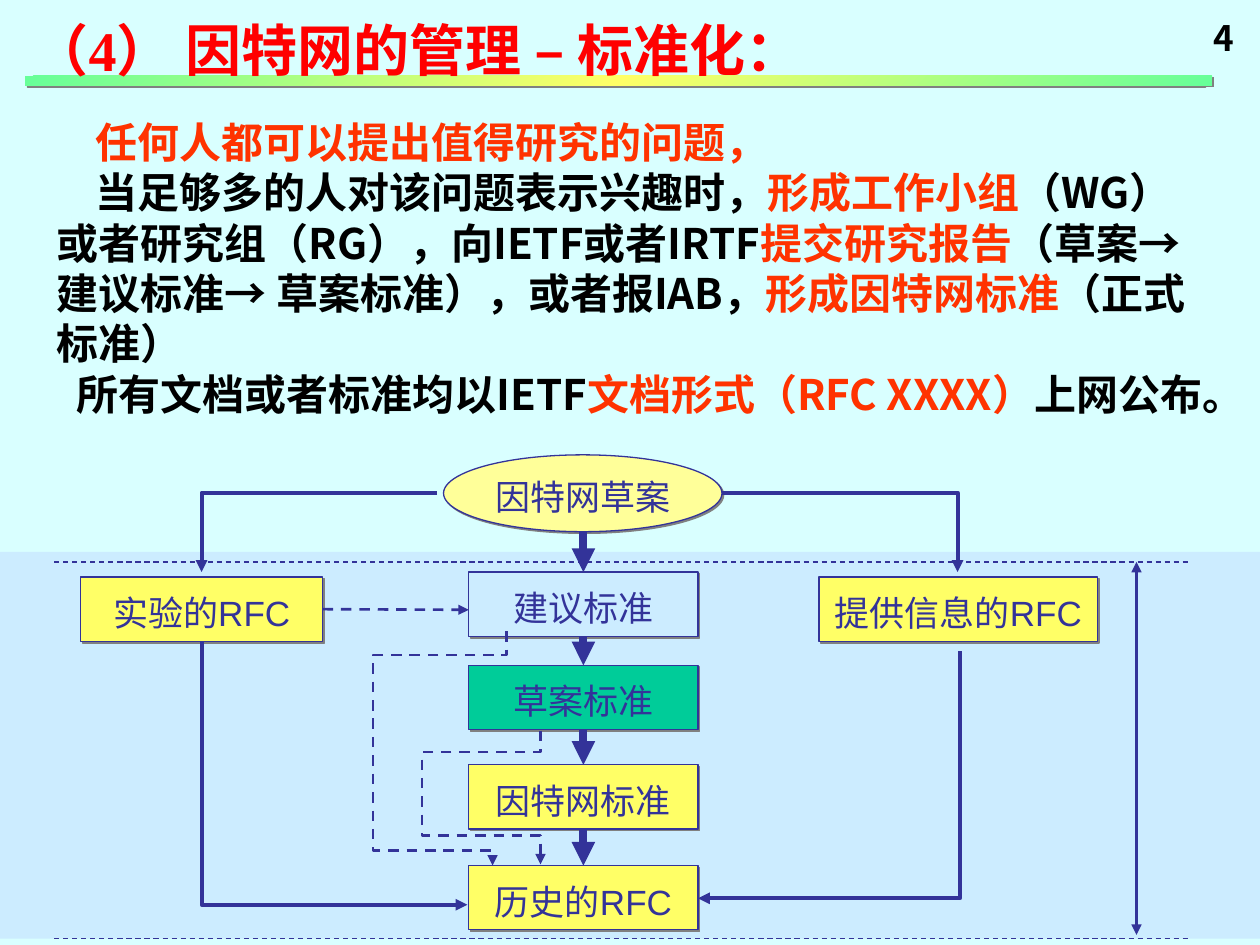
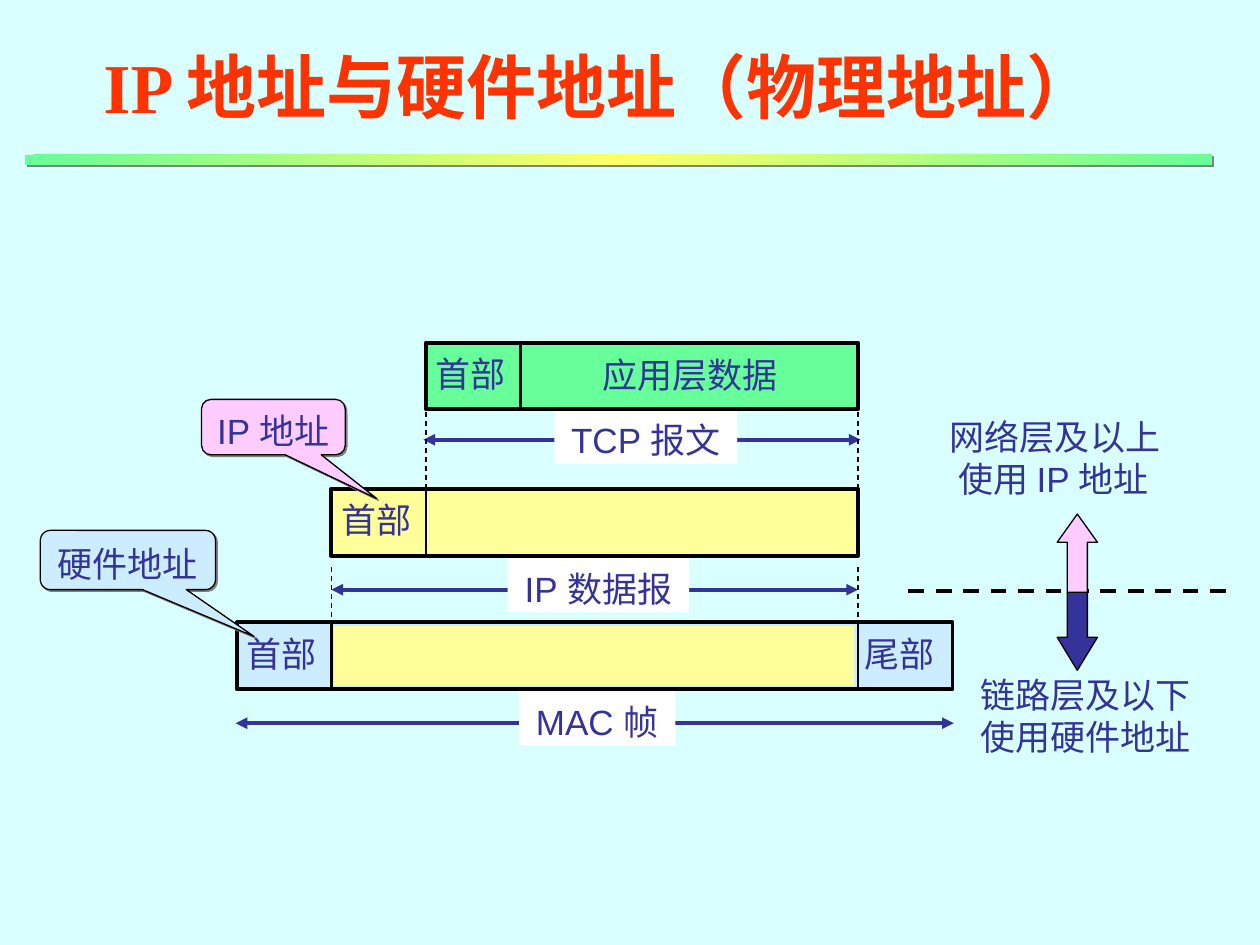
from copy import deepcopy

from lxml import etree
from pptx import Presentation
from pptx.dml.color import RGBColor
from pptx.enum.dml import MSO_LINE
from pptx.enum.shapes import MSO_CONNECTOR, MSO_SHAPE
from pptx.enum.text import MSO_ANCHOR, PP_ALIGN
from pptx.oxml.ns import qn
from pptx.util import Cm, Pt

RECT = MSO_SHAPE.RECTANGLE
OVAL = MSO_SHAPE.OVAL
CALLOUT = MSO_SHAPE.ROUNDED_RECTANGULAR_CALLOUT
UP, DOWN = MSO_SHAPE.UP_ARROW, MSO_SHAPE.DOWN_ARROW
STRAIGHT = MSO_CONNECTOR.STRAIGHT
DASH = MSO_LINE.DASH
LEFT, CENTER = PP_ALIGN.LEFT, PP_ALIGN.CENTER
TOP, MIDDLE = MSO_ANCHOR.TOP, MSO_ANCHOR.MIDDLE
SIDE_TOP, SIDE_BOTTOM, SIDE_RIGHT = 0, 2, 3

SANS, SERIF, CJK = "Arial", "Times New Roman", "Noto Sans CJK SC"
PAPER, WHITE, BLACK, GRAY = "D9FFFF", "FFFFFF", "000000", "808080"
NAVY, RED, ORANGE = "333399", "FF0000", "FF3300"
SKY, TEAL, MINT, PINK = "CCECFF", "00CC99", "66FF99", "FFCCFF"
YELLOW, CREAM = "FFFF66", "FFFF99"


def inch(value):
    return Cm(value * 2.54)


def rgb(value):
    return RGBColor.from_string(value)


class Deck:
    def __init__(self):
        self.prs = Presentation()
        self.prs.slide_width, self.prs.slide_height = inch(10), inch(7.5)
        self.slide = None

    def new_slide(self, rule_top):
        self.slide = self.prs.slides.add_slide(self.prs.slide_layouts[6])
        fill = self.slide.background.fill
        fill.solid()
        fill.fore_color.rgb = rgb(PAPER)
        rule = self.shape(RECT, (0.2, rule_top, 9.42, 0.08), MINT, shadow=True)
        rule.fill.gradient()
        rule.fill.gradient_angle = 315
        stops = rule._element.spPr.find(qn("a:gradFill")).find(qn("a:gsLst"))
        stops.insert(1, deepcopy(stops[0]))
        for stop, color, position in zip(rule.fill.gradient_stops,
                                         (MINT, YELLOW, MINT), (0, 0.5, 1)):
            stop.color.rgb = rgb(color)
            stop.position = position

    def style_run(self, run, size, color, font, bold):
        run.font.size, run.font.bold = Pt(size), bold
        run.font.color.rgb = rgb(color)
        run.font.name = font
        etree.SubElement(run._r.get_or_add_rPr(), qn("a:ea")).set("typeface", CJK)

    def frame(self, frame, size, align, anchor, wrap):
        drop = size / 720
        frame.word_wrap = wrap
        frame.vertical_anchor = anchor
        frame.margin_left = inch(0.1)
        frame.margin_right = inch(0) if align == LEFT else inch(0.1)
        frame.margin_top = inch(0.05 + drop)
        frame.margin_bottom = inch(max(0, 0.05 - drop))
        for paragraph in frame.paragraphs:
            paragraph.alignment = align
            paragraph.line_spacing = Pt(size * 1.2)

    def fill_text(self, frame, text, size=20, color=NAVY, font=SANS, bold=False,
                  align=LEFT, anchor=TOP, wrap=True):
        frame.text = text
        self.frame(frame, size, align, anchor, wrap)
        for paragraph in frame.paragraphs:
            for run in paragraph.runs:
                self.style_run(run, size, color, font, bold)

    def indent(self, paragraph, width):
        paragraph._p.get_or_add_pPr().set("indent", str(inch(width)))

    def text(self, box, text, **style):
        area = self.slide.shapes.add_textbox(*map(inch, box))
        self.fill_text(area.text_frame, text, **style)
        return area.text_frame

    def rich_text(self, box, paragraphs, size):
        frame = self.slide.shapes.add_textbox(*map(inch, box)).text_frame
        for number, (first_indent, pieces) in enumerate(paragraphs):
            paragraph = frame.add_paragraph() if number else frame.paragraphs[0]
            self.indent(paragraph, first_indent)
            for words, color in pieces:
                run = paragraph.add_run()
                run.text = words
                self.style_run(run, size, color, CJK, True)
        self.frame(frame, size, LEFT, TOP, True)
        frame.margin_right = inch(0.1)

    def shape(self, kind, box, fill, line=None, width=0.75, shadow=False,
              text=None, adjust=()):
        shape = self.slide.shapes.add_shape(kind, *map(inch, box))
        for index, value in enumerate(adjust):
            shape.adjustments[index] = value
        shape.fill.solid()
        shape.fill.fore_color.rgb = rgb(fill)
        if line:
            self.stroke(shape, line, width)
        else:
            shape.line.fill.background()
        shape.shadow.inherit = False
        if shadow:
            effects = shape._element.spPr.find(qn("a:effectLst"))
            outer = etree.SubElement(effects, qn("a:outerShdw"),
                                     dist=str(Pt(1.4)), dir="2700000")
            etree.SubElement(outer, qn("a:srgbClr"), val=GRAY)
        if text:
            self.fill_text(shape.text_frame, text, align=CENTER, anchor=MIDDLE, wrap=False)
        return shape

    def stroke(self, shape, color, width, dash=False, heads=()):
        shape.line.color.rgb = rgb(color)
        shape.line.width = Pt(width)
        if dash:
            shape.line.dash_style = DASH
        for end in heads:
            etree.SubElement(shape.line._get_or_add_ln(), qn("a:" + end), type="triangle")

    def line(self, start, finish, color=NAVY, width=0.75, dash=False, heads=()):
        line = self.slide.shapes.add_connector(STRAIGHT, *map(inch, start + finish))
        self.stroke(line, color, width, dash, heads)
        etree.SubElement(line._element.spPr, qn("a:effectLst"))
        return line

    def route(self, points, width=2.25, dash=False):
        corners = [(inch(x), inch(y)) for x, y in points]
        builder = self.slide.shapes.build_freeform(*corners[0], scale=1.0)
        builder.add_line_segments(corners[1:], close=False)
        route = builder.convert_to_shape()
        route.fill.background()
        self.stroke(route, NAVY, width, dash, ARROW)
        route.shadow.inherit = False


ARROW = ("tailEnd",)
BOTH = ("headEnd", "tailEnd")


def standardization(deck):
    deck.new_slide(0.6)
    deck.text((0.16, 0.03, 7, 0.64), "（4） 因特网的管理 – 标准化：",
              size=32, color=RED, font=SERIF, bold=True)
    deck.text((9.53, 0.05, 0.36, 0.44), "4", color=BLACK, font=CJK, bold=True)
    deck.rich_text((0.35, 0.84, 9.31, 2.9), [
        (0.31, [("任何人都可以提出值得研究的问题，", ORANGE)]),
        (0.31, [("当足够多的人对该问题表示兴趣时，", BLACK),
                ("形成工作小组", ORANGE),
                ("（WG）或者研究组（RG），向IETF或者IRTF", BLACK),
                ("提交研究报告", ORANGE),
                ("（草案→建议标准→ 草案标准），或者报IAB，", BLACK),
                ("形成因特网标准", ORANGE),
                ("（正式标准）", BLACK)]),
        (0.16, [("所有文档或者标准均以IETF", BLACK),
                ("文档形式（RFC XXXX）", ORANGE),
                ("上网公布。", BLACK)]),
    ], size=24)

    deck.shape(RECT, (0, 4.38, 10, 3.07), SKY)
    stages = [deck.shape(RECT, (3.72, top, 1.82, 0.51), fill, NAVY, shadow=True, text=name)
              for top, fill, name in ((4.54, SKY, "建议标准"), (5.28, TEAL, "草案标准"),
                                      (6.07, YELLOW, "因特网标准"),
                                      (6.87, YELLOW, "历史的RFC"))]
    deck.shape(RECT, (6.5, 4.58, 2.21, 0.51), YELLOW, NAVY, shadow=True, text="提供信息的RFC")
    experimental = deck.shape(RECT, (0.64, 4.58, 1.92, 0.51), YELLOW, NAVY,
                              shadow=True, text="实验的RFC")
    deck.shape(OVAL, (3.52, 3.61, 2.21, 0.61), CREAM, NAVY, shadow=True, text="因特网草案")

    adoption = deck.line((4.63, 4.22), (4.63, 4.54), width=4.5, heads=ARROW)
    adoption.end_connect(stages[0], SIDE_TOP)
    for earlier, later in zip(stages, stages[1:]):
        step = deck.line((4.63, 5), (4.63, 5.3), width=4.5, heads=ARROW)
        step.begin_connect(earlier, SIDE_BOTTOM)
        step.end_connect(later, SIDE_TOP)

    deck.route([(5.73, 3.91), (7.6, 3.91), (7.6, 4.54)])
    deck.route([(3.47, 3.91), (1.6, 3.91), (1.6, 4.54)])
    deck.route([(1.6, 5.09), (1.6, 7.18), (3.71, 7.18)])
    deck.route([(7.62, 5.17), (7.62, 7.13), (5.54, 7.13)])
    upgrade = deck.line((2.56, 4.84), (3.72, 4.84), width=1.5, dash=True, heads=ARROW)
    upgrade.begin_connect(experimental, SIDE_RIGHT)
    deck.route([(4.02, 5.01), (4.02, 5.2), (2.96, 5.2), (2.96, 6.75),
                (3.91, 6.75), (3.91, 6.87)], 1.5, True)
    deck.route([(4.29, 5.8), (4.29, 5.97), (3.35, 5.97), (3.35, 6.63),
                (4.29, 6.63), (4.29, 6.86)], 1.5, True)
    for y in (4.46, 7.45):
        deck.line((0.43, y), (9.44, y), dash=True)
    deck.line((9.02, 4.46), (9.02, 7.42), width=1.5, heads=BOTH)


def addresses(deck):
    deck.new_slide(1.23)
    deck.text((0.51, 0, 8.5, 1.25), "IP 地址与硬件地址（物理地址）", size=40,
              color=ORANGE, font=SERIF, bold=True, align=CENTER, anchor=MIDDLE)

    spans = ((3.36, 6.83, 3.49, (4.4, 3.24, 1.45, 0.44), "TCP 报文"),
             (2.63, 6.81, 4.68, (4.03, 4.42, 1.44, 0.44), "IP 数据报"),
             (1.87, 7.57, 5.74, (4.12, 5.48, 1.24, 0.44), "MAC 帧"))
    for left, right, y, label_box, name in spans:
        deck.line((left, y), (right, y), width=2.25, heads=BOTH)
        deck.shape(RECT, label_box, WHITE, text=name)

    for x, top, bottom in ((2.63, 4.5, 4.94), (6.81, 4.5, 4.94),
                           (3.38, 3.27, 3.88), (6.81, 3.27, 3.88)):
        deck.line((x, top), (x, bottom), BLACK, dash=True)
    deck.line((7.21, 4.69), (9.73, 4.69), BLACK, 2.25, dash=True)

    units = ((3.38, 2.72, 3.43, MINT, (4.13,)),
             (2.63, 3.88, 4.18, CREAM, (3.38,)),
             (1.88, 4.94, 5.68, SKY, (2.63, 6.81)))
    for left, top, width, fill, dividers in units:
        deck.shape(RECT, (left, top, width, 0.53), fill, BLACK, 2.25)
        for x in dividers:
            deck.line((x, top), (x, top + 0.53), BLACK, 1.5)
        deck.text((left - 0.02, top, 0.75, 0.44), "首部")
    deck.text((4.68, 2.73, 1.59, 0.44), "应用层数据")
    deck.text((6.76, 4.94, 0.75, 0.44), "尾部")
    deck.shape(RECT, (2.65, 4.97, 4.13, 0.47), CREAM)

    deck.shape(DOWN, (8.39, 4.7, 0.32, 0.62), NAVY, BLACK, adjust=(0.5, 0.82))
    deck.shape(UP, (8.39, 4.08, 0.32, 0.62), PINK, BLACK, adjust=(0.5, 0.7))
    deck.text((7.68, 5.27, 1.87, 0.77), "链路层及以下\n使用硬件地址")
    upper = deck.text((7.44, 3.22, 2.06, 0.77), "网络层及以上\n使用 IP 地址")
    deck.indent(upper.paragraphs[1], 0.07)
    for box, fill, name in (((0.32, 4.21, 1.39, 0.47), SKY, "硬件地址"),
                            ((1.6, 3.17, 1.14, 0.44), PINK, "IP 地址")):
        deck.shape(CALLOUT, box, fill, BLACK, shadow=True, text=name,
                   adjust=(0.72, 1.29, 0.17))


def main():
    deck = Deck()
    standardization(deck)
    addresses(deck)
    deck.prs.save("out.pptx")


if __name__ == "__main__":
    main()
